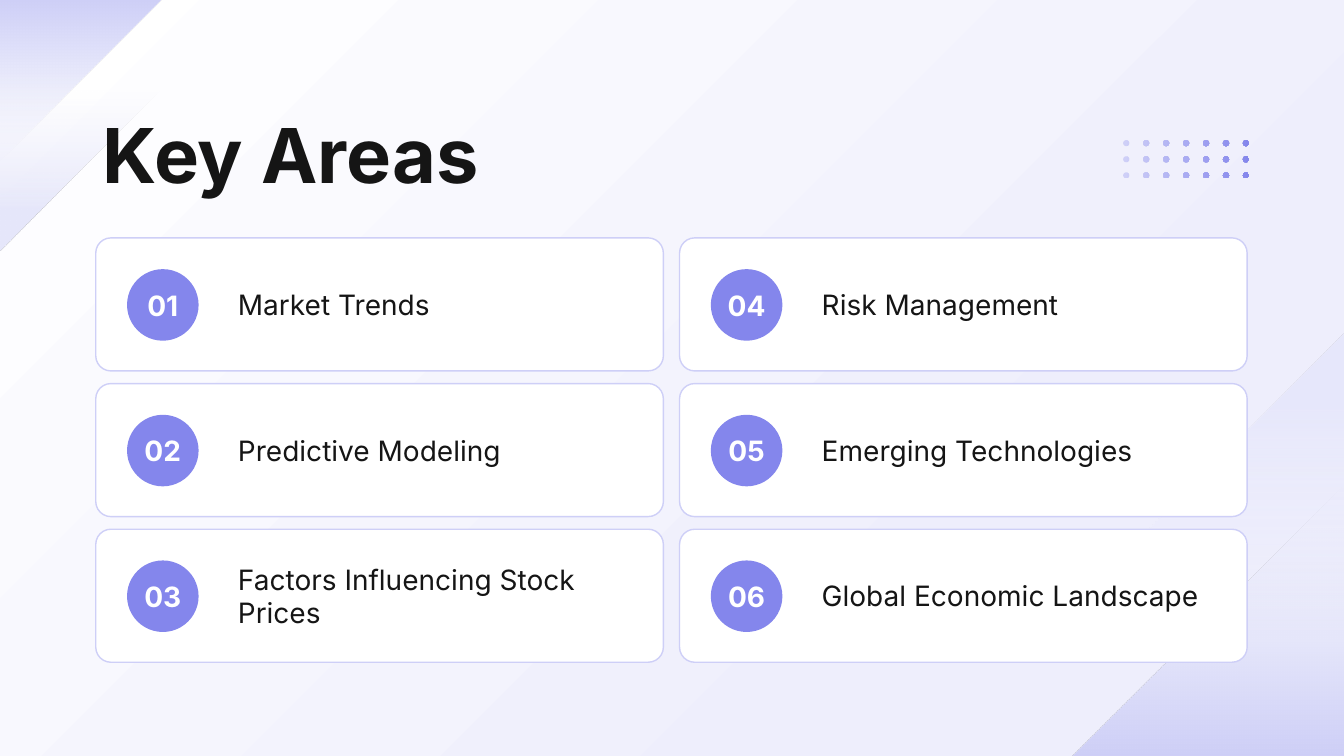
from math import cos, pi, sin

from lxml import etree
from pptx import Presentation
from pptx.dml.color import RGBColor
from pptx.enum.shapes import MSO_SHAPE
from pptx.enum.text import MSO_ANCHOR, MSO_AUTO_SIZE, PP_ALIGN
from pptx.oxml.ns import qn
from pptx.util import Inches, Pt

RECT, ROUND, OVAL = MSO_SHAPE.RECTANGLE, MSO_SHAPE.ROUNDED_RECTANGLE, MSO_SHAPE.OVAL
MIDDLE, BOTTOM = MSO_ANCHOR.MIDDLE, MSO_ANCHOR.BOTTOM
LEFT, CENTER = PP_ALIGN.LEFT, PP_ALIGN.CENTER

COLORS = {"white": "FFFFFF", "pale": "EEEEFC", "mist": "E6E7FB",
          "lilac": "CECFF7", "violet": "8486EC", "ink": "151515"}
WIDE, HIGH = 13.33, 7.5


def shade(shape, stops, angle):
    """Fill with a gradient: stops are (percent, color, alpha), angle is clockwise."""
    shape.shadow.inherit = False
    shape.line.fill.background()
    shape.fill.gradient()
    shape.fill.gradient_angle = (360 - angle) % 360
    group = shape._element.spPr.find(qn("a:gradFill")).find(qn("a:gsLst"))
    for old in list(group):
        group.remove(old)
    for pos, name, alpha in stops:
        stop = etree.SubElement(group, qn("a:gs"), pos=str(pos * 1000))
        color = etree.SubElement(stop, qn("a:srgbClr"), val=COLORS[name])
        if alpha < 100:
            etree.SubElement(color, qn("a:alpha"), val=str(alpha * 1000))


def write(shape, text, size, color, bold=False, align=LEFT, anchor=MIDDLE, wrap=True):
    frame = shape.text_frame
    form = {"margin_left": 0, "margin_top": 0, "margin_right": 0, "margin_bottom": 0,
            "word_wrap": wrap, "auto_size": MSO_AUTO_SIZE.NONE, "vertical_anchor": anchor}
    for key, value in form.items():
        setattr(frame, key, value)
    para = frame.paragraphs[0]
    para.alignment = align
    run = para.add_run()
    run.text = text
    for key, value in {"name": "Inter", "size": Pt(size), "bold": bold}.items():
        setattr(run.font, key, value)
    run.font.color.rgb = RGBColor.from_string(COLORS[color])


deck = Presentation()
deck.slide_width, deck.slide_height = Inches(WIDE), Inches(HIGH)
slide = deck.slides.add_slide(deck.slide_layouts[5])
shapes = slide.shapes

# Backdrop
back = shapes.add_shape(RECT, 0, 0, Inches(WIDE), Inches(HIGH))
shade(back, [(0, "white", 100), (76, "pale", 100)], 45)

# Corner bands and triangles
BAND = [(36, "pale", 0), (85, "mist", 100)]
TIP = [(0, "pale", 0), (57, "mist", 100), (100, "lilac", 100)]
corners = [
    ([(11.87, HIGH), (9.14, HIGH), (WIDE, 3.3), (WIDE, 6.04)], BAND, 270),
    ([(WIDE, HIGH), (10.64, HIGH), (WIDE, 4.81)], TIP, 90),
    ([(0.86, 0), (2.48, 0), (0, 2.48), (0, 0.86)], BAND, 90),
    ([(0, 0), (1.6, 0), (0, 1.6)], TIP, 270),
]
for points, stops, angle in corners:
    spots = [(Inches(x), Inches(y)) for x, y in points]
    path = shapes.build_freeform(*spots[0])
    path.add_line_segments(spots[1:], close=True)
    shade(path.convert_to_shape(), stops, angle)

# Dot grid, one outline so that the gradient runs across it
RADIUS, SIDES = 0.03, 16
path = None
for row in range(3):
    for col in range(7):
        x, y = 11.17 + 0.198 * col, 1.42 + 0.16 * row
        ring = [(Inches(x + RADIUS * cos(2 * pi * k / SIDES)),
                 Inches(y + RADIUS * sin(2 * pi * k / SIDES))) for k in range(SIDES)]
        if path is None:
            path = shapes.build_freeform(*ring[0])
        else:
            path.move_to(*ring[0])
        path.add_line_segments(ring[1:], close=True)
shade(path.convert_to_shape(), [(0, "lilac", 100), (100, "violet", 100)], 0)

# Title, raised above the backdrop
title = shapes.title
place = {"left": 1.02, "top": 0.79, "width": 7.31, "height": 1.18}
for key, value in place.items():
    setattr(title, key, Inches(value))
write(title, "Key Areas", 54, "ink", bold=True, anchor=BOTTOM)
shapes._spTree.append(title._element)

# Numbered cards, filled column by column
areas = ["Market Trends", "Predictive Modeling", "Factors Influencing Stock Prices",
         "Risk Management", "Emerging Technologies", "Global Economic Landscape"]
CARD_W, CARD_H, DISC = 5.63, 1.32, 0.71
for i, area in enumerate(areas):
    col, row = divmod(i, 3)
    x, y = 0.95 + 5.79 * col, 2.36 + 1.445 * row

    card = shapes.add_shape(ROUND, Inches(x), Inches(y), Inches(CARD_W), Inches(CARD_H))
    card.adjustments[0] = 0.114
    card.line.color.rgb = RGBColor.from_string(COLORS["lilac"])
    card.line.width = Pt(1)

    disc = shapes.add_shape(OVAL, Inches(x + 0.31), Inches(y + 0.31), Inches(DISC), Inches(DISC))
    disc.line.fill.background()
    write(disc, f"{i + 1:02}", 20, "white", bold=True, align=CENTER, wrap=False)

    for shape, color in ((card, "white"), (disc, "violet")):
        shape.shadow.inherit = False
        shape.fill.solid()
        shape.fill.fore_color.rgb = RGBColor.from_string(COLORS[color])

    label = shapes.add_textbox(Inches(x + 1.41), Inches(y), Inches(4.22), Inches(CARD_H))
    write(label, area, 20, "ink")

deck.save("out.pptx")
